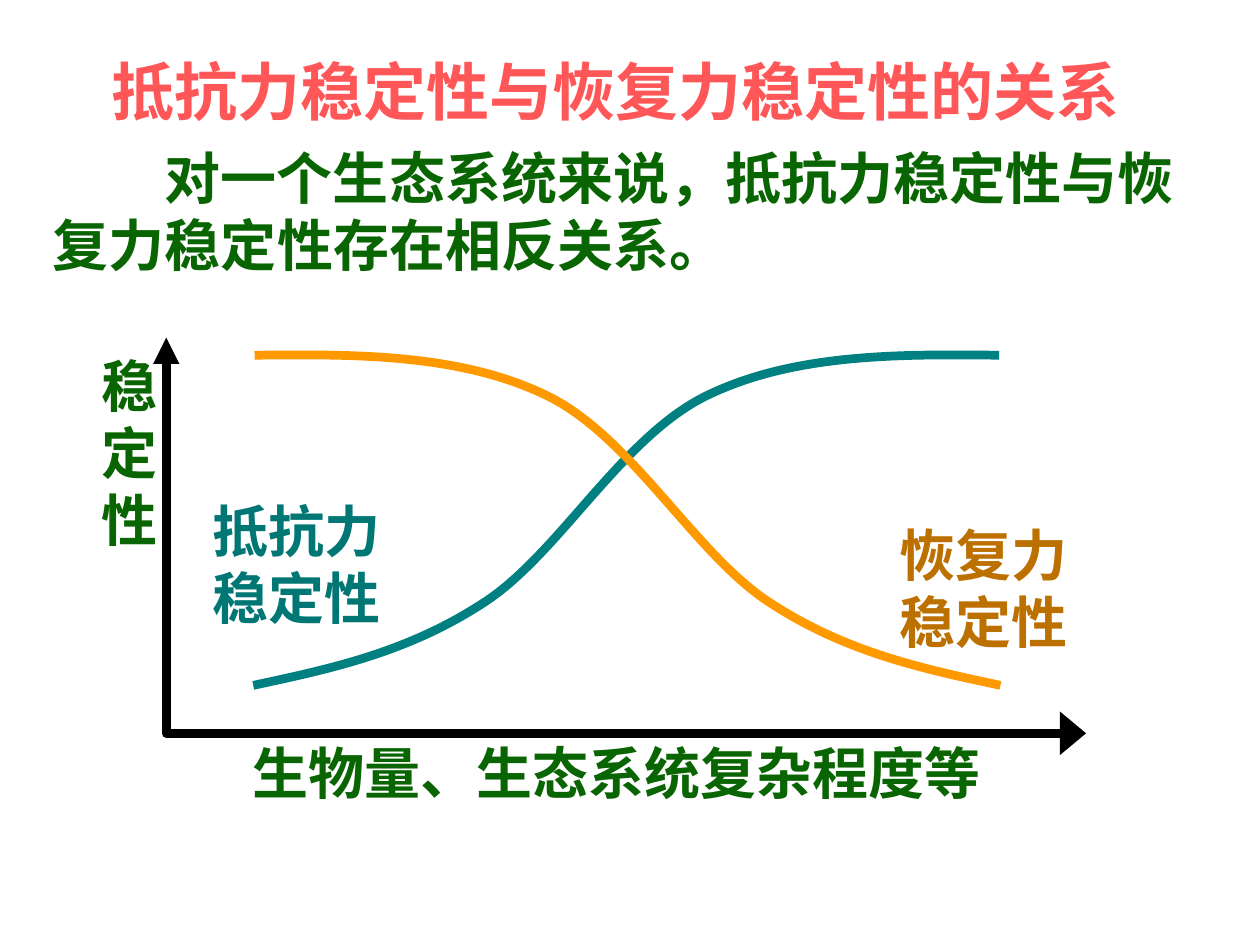
from pptx import Presentation
from pptx.dml.color import RGBColor
from pptx.enum import text
from pptx.oxml.ns import qn
from pptx.util import Inches, Pt
from lxml import etree

FONT = "Noto Sans CJK SC"
GREEN, TEAL, ORANGE = "096402", "008080", "FF9900"


def rgb(value):
    return RGBColor.from_string(value)


def add_text(s, box, content, color, size=32, align=text.PP_ALIGN.LEFT,
             wrap=True, top=0, indent=0):
    sp = s.shapes.add_textbox(*map(Inches, box))
    tf = sp.text_frame
    tf.word_wrap = wrap
    tf.margin_left = tf.margin_right = tf.margin_bottom = 0
    tf.margin_top = Inches(top)
    p = tf.paragraphs[0]
    p.alignment = align
    if indent:
        p._p.get_or_add_pPr().set("indent", str(Pt(indent)))
    r = p.add_run()
    r.text = content
    r.font.name = FONT
    r.font.size = Pt(size)
    r.font.bold = True
    r.font.color.rgb = rgb(color)
    etree.SubElement(r._r.get_or_add_rPr(), qn("a:ea"), typeface=FONT)


def add_path(s, points, color):
    start, *rest = [(Inches(x), Inches(y)) for x, y in points]
    fb = s.shapes.build_freeform(*start)
    fb.add_line_segments(rest, close=False)
    sp = fb.convert_to_shape()
    sp.shadow.inherit = False
    sp.fill.background()
    sp.line.color.rgb = rgb(color)
    sp.line.width = Pt(5)
    return sp


def add_curve(s, points, color):
    sp = add_path(s, points, color)
    path = sp._element.find(".//" + qn("a:path"))
    lines = path.findall(qn("a:lnTo"))
    for i in range(0, len(lines), 3):
        curve = etree.SubElement(path, qn("a:cubicBezTo"))
        for line in lines[i:i + 3]:
            curve.append(line[0])
            path.remove(line)


def add_axes(s, points):
    sp = add_path(s, points, "000000")
    ln = sp.line._get_or_add_ln()
    etree.SubElement(ln, qn("a:round"))
    for end, width in (("headEnd", "med"), ("tailEnd", "lg")):
        etree.SubElement(ln, qn("a:" + end), type="triangle", w=width, len="med")


def main():
    prs = Presentation()
    prs.slide_width, prs.slide_height = Inches(10), Inches(7.5)
    s = prs.slides.add_slide(prs.slide_layouts[6])
    center = text.PP_ALIGN.CENTER

    add_text(s, (0.8, 0.37, 8.17, 0.53), "抵抗力稳定性与恢复力稳定性的关系",
             "FF5757", size=36, align=center, wrap=False, top=0.05)
    add_text(s, (0.42, 1.14, 9.12, 1.07),
             "对一个生态系统来说，抵抗力稳定性与恢复力稳定性存在相反关系。",
             GREEN, indent=64)

    rising = [(2.01, 5.44), (2.62, 5.31), (3.23, 5.18), (3.83, 4.79),
              (4.43, 4.41), (4.93, 3.47), (5.61, 3.14),
              (6.29, 2.81), (7.11, 2.81), (7.93, 2.82)]
    mirror = 9.95
    falling = [(mirror - x, y) for x, y in rising]
    add_curve(s, rising, TEAL)
    add_curve(s, falling, ORANGE)

    add_text(s, (1.69, 3.94, 1.68, 1.07), "抵抗力稳定性", "007774")
    add_text(s, (7.14, 4.13, 1.72, 1.07), "恢复力稳定性", "BC7000")
    add_axes(s, [(1.32, 2.68), (1.32, 5.82), (8.62, 5.82)])
    add_text(s, (0.81, 2.79, 0.5, 1.6), "稳定性", GREEN)
    add_text(s, (1.32, 5.86, 7.15, 0.53), "生物量、生态系统复杂程度等",
             GREEN, align=center)

    prs.save("out.pptx")


if __name__ == "__main__":
    main()
